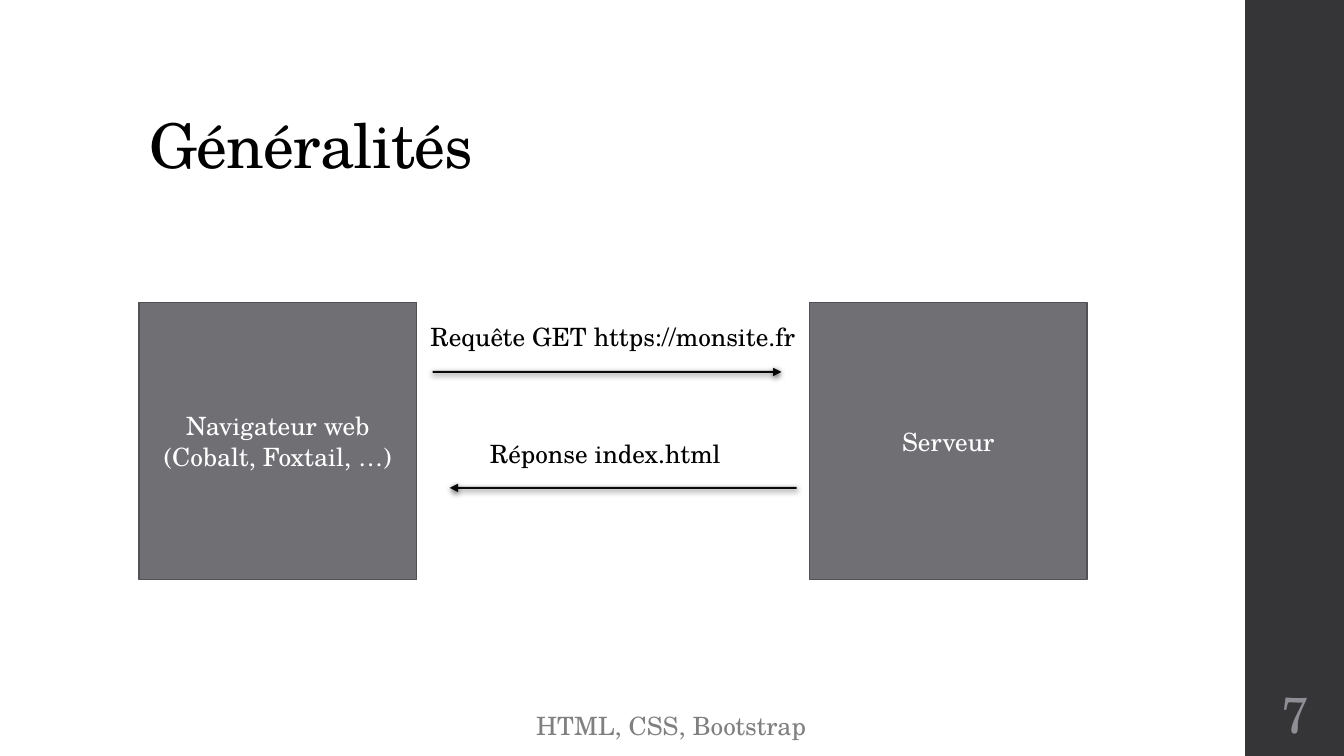
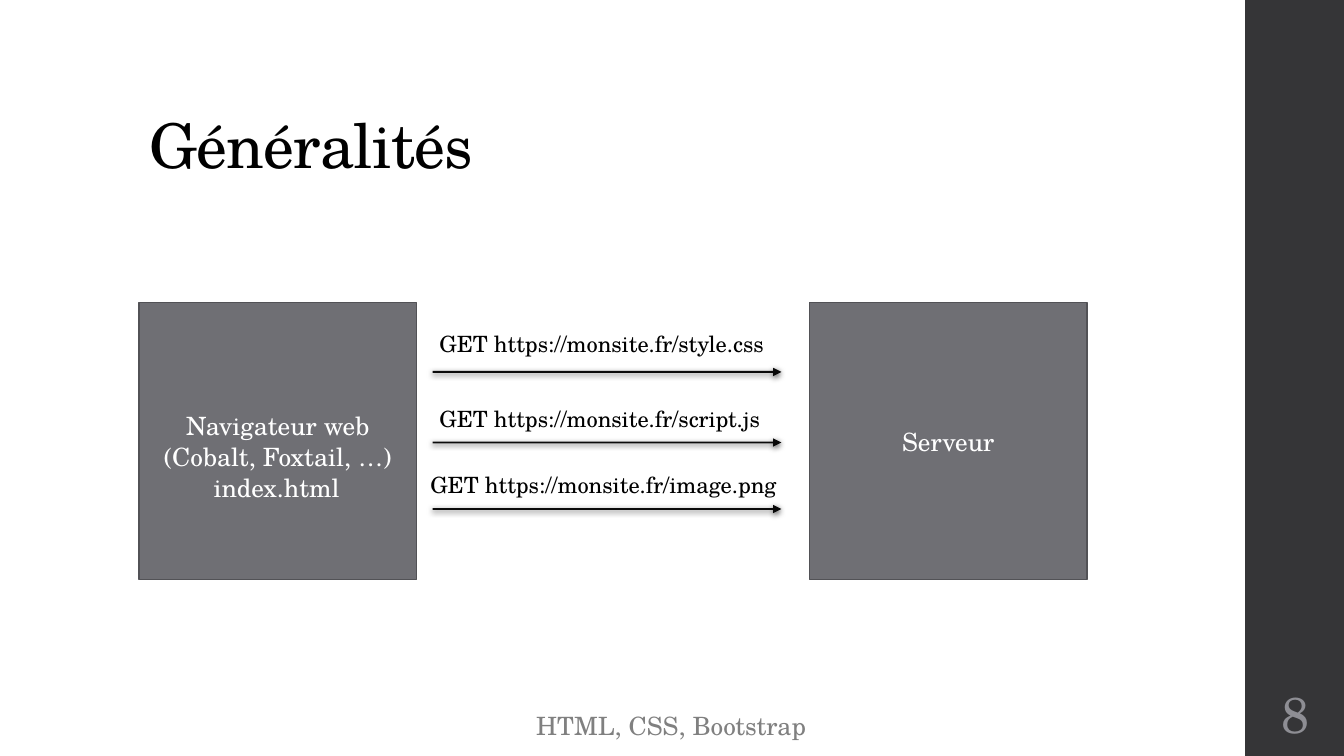
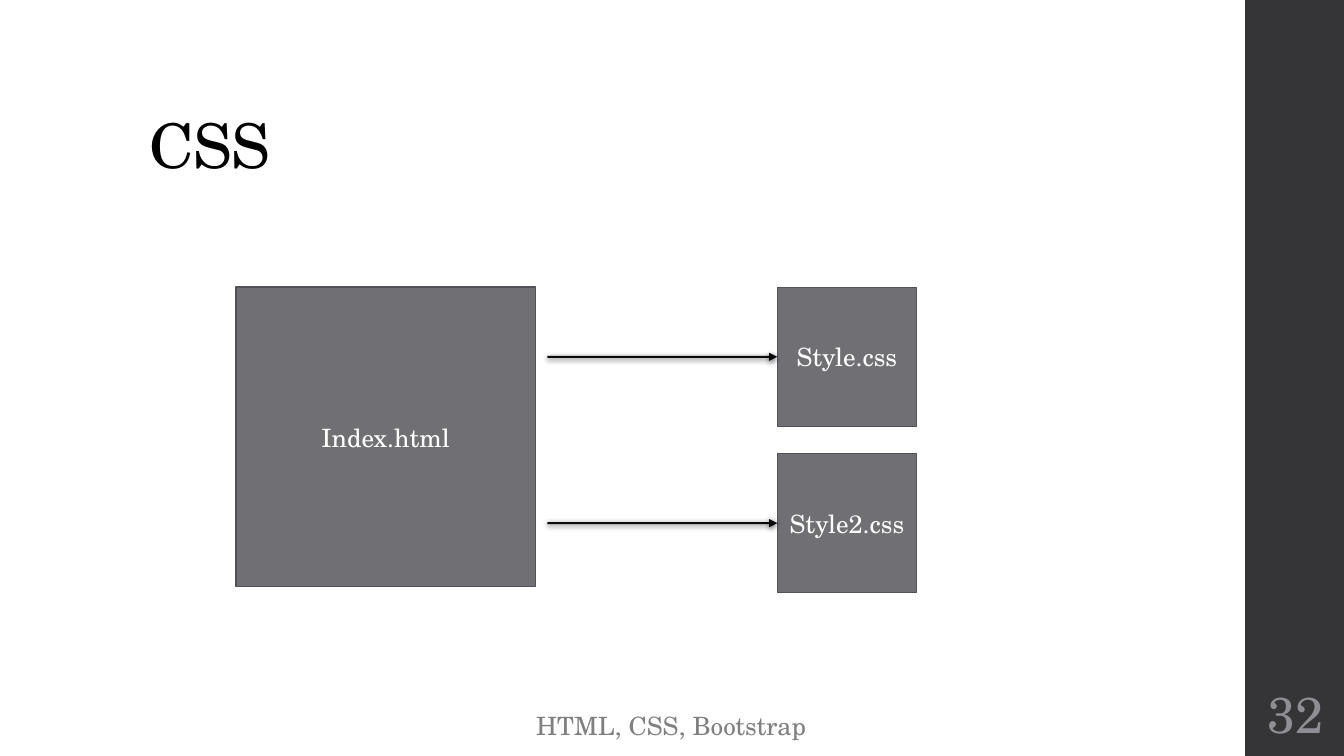
from dataclasses import dataclass
from typing import Optional

from lxml import etree
from pptx import Presentation
from pptx import util as u
from pptx.dml.color import RGBColor
from pptx.enum import shapes, text
from pptx.oxml import ns

PX = u.Inches(1) // 100
SLIDE_W, SLIDE_H = 1333, 750
BAND_LEFT = 1235


@dataclass(frozen=True)
class Theme:
    font: str = "TeX Gyre Schola"
    ink: str = "000000"
    band: str = "353537"
    footer: str = "808080"
    number: str = "8E8E94"
    box_fill: str = "6F6F74"
    box_line: str = "525256"
    box_text: str = "FFFFFF"
    title_size: int = 44
    number_size: int = 36
    body_size: int = 18
    small_size: int = 16
    box_line_width: float = 1.1
    arrow_width: float = 1.35


THEME = Theme()


@dataclass(frozen=True)
class Area:
    left: int
    top: int
    width: int
    height: int

    def emu(self) -> list[int]:
        return [n * PX for n in (self.left, self.top, self.width, self.height)]


@dataclass(frozen=True)
class Node:
    """A filled square with one paragraph per line."""
    left: int
    top: int
    side: int
    lines: tuple[str, ...]


@dataclass(frozen=True)
class Label:
    area: Area
    words: str
    size: int = THEME.body_size
    colour: str = THEME.ink


@dataclass(frozen=True)
class Arrow:
    """A level arrow; target is the index of the node it is joined to."""
    start: int
    end: int
    y: int
    target: Optional[int] = None


@dataclass(frozen=True)
class Page:
    title: str
    number: int
    nodes: tuple[Node, ...]
    arrows: tuple[Arrow, ...]
    labels: tuple[Label, ...] = ()


FOOTER = Label(Area(522, 700, 292, 40), "HTML, CSS, Bootstrap", colour=THEME.footer)
TITLE_AREA = Area(138, 40, 1060, 145)
NUMBER_AREA = Area(BAND_LEFT, 675, 100, 65)

BROWSER = Node(138, 300, 275, ("Navigateur web", "(Cobalt, Foxtail, …)"))
SERVER = Node(803, 300, 275, ("Serveur",))

PAGES = (
    Page("Généralités", 7, (BROWSER, SERVER),
         (Arrow(429, 775, 369), Arrow(790, 446, 484)),
         (Label(Area(417, 314, 386, 40), "Requête GET https://monsite.fr"),
          Label(Area(476, 430, 252, 40), "Réponse index.html"))),
    Page("Généralités", 8, (BROWSER, SERVER),
         tuple(Arrow(429, 775, y) for y in (369, 439, 505)),
         (Label(Area(202, 464, 147, 40), "index.html", colour=THEME.box_text),
          Label(Area(426, 323, 347, 37), "GET https://monsite.fr/style.css", THEME.small_size),
          Label(Area(426, 397, 343, 37), "GET https://monsite.fr/script.js", THEME.small_size),
          Label(Area(417, 462, 369, 37), "GET https://monsite.fr/image.png", THEME.small_size))),
    Page("CSS", 32,
         (Node(234, 285, 297, ("Index.html",)),
          Node(771, 285, 138, ("Style.css",)),
          Node(771, 450, 138, ("Style2.css",))),
         (Arrow(543, 771, 354, target=1), Arrow(543, 771, 519, target=2))),
)


def add_run(para, words: str, size: int, colour: str):
    span = para.add_run()
    span.text = words
    span.font.name = THEME.font
    span.font.size = u.Pt(size)
    span.font.color.rgb = RGBColor.from_string(colour)
    return span


def add_child(parent, tag: str, **attributes):
    return etree.SubElement(parent, ns.qn(tag), attributes)


def set_title(slide, words: str) -> None:
    title = slide.shapes.title
    title.left, title.top, title.width, title.height = TITLE_AREA.emu()
    title.text_frame.vertical_anchor = text.MSO_ANCHOR.BOTTOM
    para = title.text_frame.paragraphs[0]
    para.alignment = text.PP_ALIGN.LEFT
    para.line_spacing = 0.9
    span = add_run(para, words, THEME.title_size, THEME.ink)
    span.font._element.set("spc", "-50")


def add_rectangle(slide, area: Area, fill: str, line: Optional[str] = None):
    box = slide.shapes.add_shape(shapes.MSO_SHAPE.RECTANGLE, *area.emu())
    box.shadow.inherit = False
    box.fill.solid()
    box.fill.fore_color.rgb = RGBColor.from_string(fill)
    if line:
        box.line.color.rgb = RGBColor.from_string(line)
        box.line.width = u.Pt(THEME.box_line_width)
    else:
        box.line.fill.background()
    return box


def add_label(slide, label: Label) -> None:
    frame = slide.shapes.add_textbox(*label.area.emu()).text_frame
    frame.word_wrap = False
    frame.auto_size = text.MSO_AUTO_SIZE.SHAPE_TO_FIT_TEXT
    add_run(frame.paragraphs[0], label.words, label.size, label.colour)


def add_number(slide, number: int) -> None:
    frame = slide.shapes.add_textbox(*NUMBER_AREA.emu()).text_frame
    frame.word_wrap = True
    frame.vertical_anchor = text.MSO_ANCHOR.MIDDLE
    inset = 5 * PX
    frame.margin_left = frame.margin_right = inset
    frame.margin_top = frame.margin_bottom = inset
    para = frame.paragraphs[0]
    para.alignment = text.PP_ALIGN.CENTER
    add_run(para, str(number), THEME.number_size, THEME.number)


def add_node(slide, node: Node):
    area = Area(node.left, node.top, node.side, node.side)
    box = add_rectangle(slide, area, THEME.box_fill, THEME.box_line)
    frame = box.text_frame
    frame.word_wrap = True
    frame.vertical_anchor = text.MSO_ANCHOR.MIDDLE
    for index, words in enumerate(node.lines):
        para = frame.add_paragraph() if index else frame.paragraphs[0]
        para.alignment = text.PP_ALIGN.CENTER
        add_run(para, words, THEME.body_size, THEME.box_text)
    return box


def add_arrow(slide, arrow: Arrow, boxes: list) -> None:
    connector = slide.shapes.add_connector(
        shapes.MSO_CONNECTOR.STRAIGHT,
        *(n * PX for n in (arrow.start, arrow.y, arrow.end, arrow.y)))
    if arrow.target is not None:
        connector.end_connect(boxes[arrow.target], 1)
    connector.line.width = u.Pt(THEME.arrow_width)
    connector.line.color.rgb = RGBColor.from_string(THEME.ink)

    line = connector.line._get_or_add_ln()
    add_child(line.find(".//" + ns.qn("a:srgbClr")), "a:alpha", val="95000")
    add_child(line, "a:tailEnd", type="triangle")
    effects = add_child(connector._element.spPr, "a:effectLst")
    shadow = add_child(effects, "a:outerShdw", blurRad=str(u.Pt(4)), dist=str(u.Pt(1.2)),
                       dir="5400000", rotWithShape="0")
    shade = add_child(shadow, "a:srgbClr", val=THEME.ink)
    add_child(shade, "a:alpha", val="75000")


def add_page(deck, page: Page) -> None:
    slide = deck.slides.add_slide(deck.slide_layouts.get_by_name("Title Only"))
    add_rectangle(slide, Area(BAND_LEFT, 0, SLIDE_W - BAND_LEFT, SLIDE_H), THEME.band)
    add_label(slide, FOOTER)
    set_title(slide, page.title)
    add_number(slide, page.number)
    boxes = [add_node(slide, node) for node in page.nodes]
    for arrow in page.arrows:
        add_arrow(slide, arrow, boxes)
    for label in page.labels:
        add_label(slide, label)


def main() -> None:
    deck = Presentation()
    deck.slide_width, deck.slide_height = SLIDE_W * PX, SLIDE_H * PX
    for page in PAGES:
        add_page(deck, page)
    deck.save("out.pptx")


if __name__ == "__main__":
    main()
